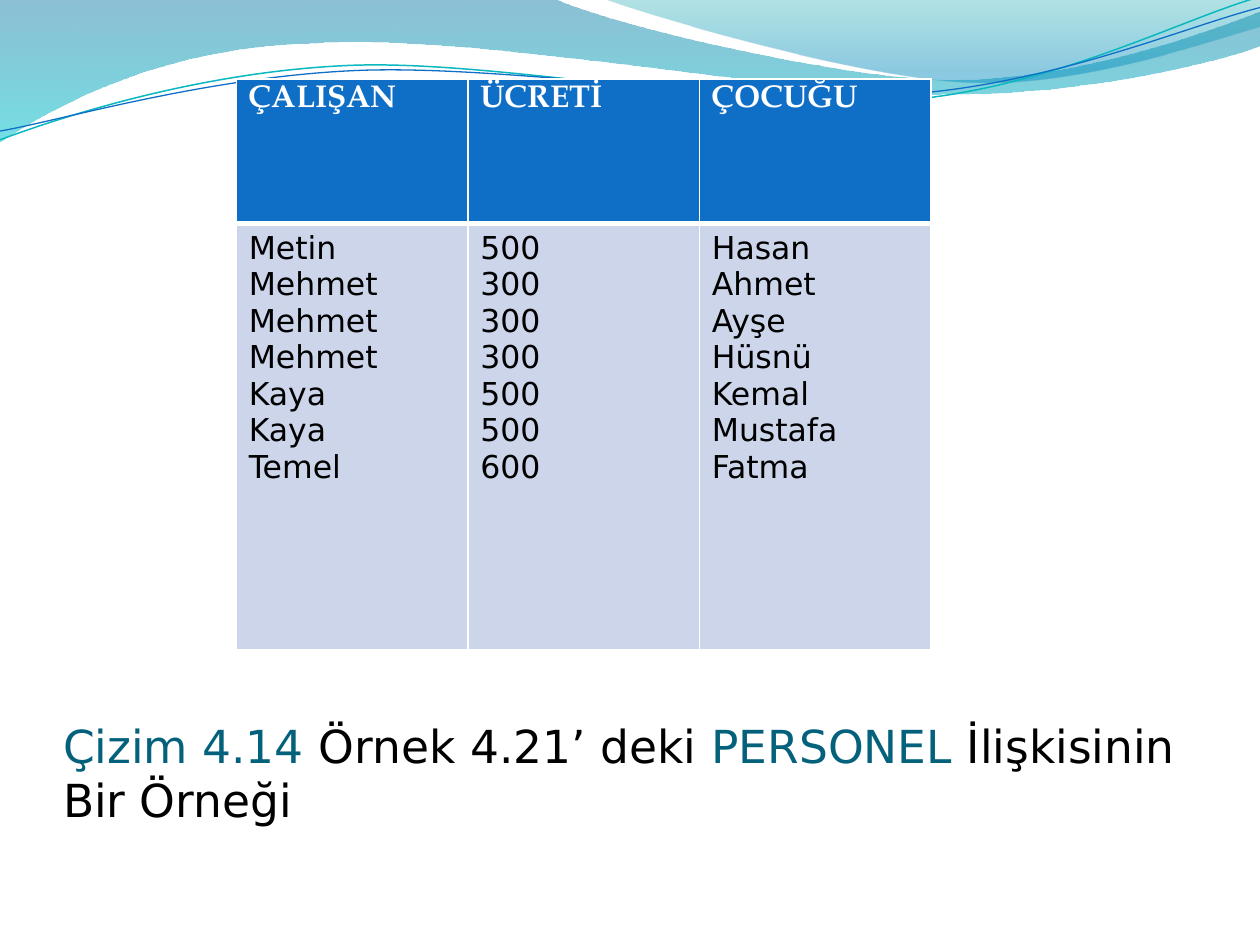
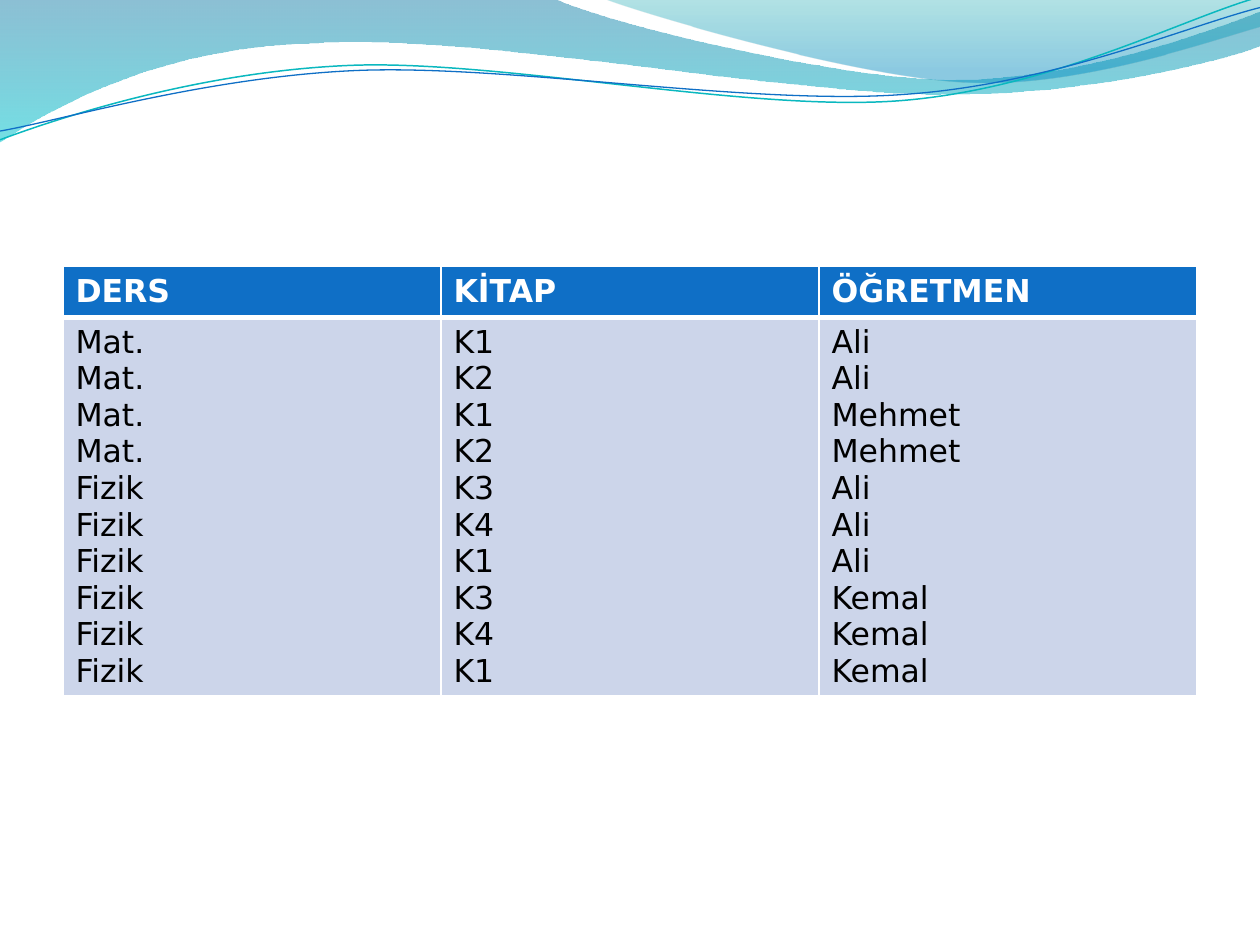
from dataclasses import dataclass
from math import cos, radians, sin

from lxml.etree import SubElement
from pptx import Presentation
from pptx.dml.color import RGBColor
from pptx.enum.text import MSO_ANCHOR, PP_ALIGN
from pptx.oxml import parse_xml
from pptx.oxml.ns import nsdecls, qn
from pptx.util import Pt

COLORS = {
    "white": "FFFFFF", "black": "000000", "teal": "04617B",
    "header": "0F6FC6", "body": "CCD5EA", "aqua": "0AB8BF",
    "wave_blue": "0074A1", "wave_cyan": "00C6CF",
    "crest_green": "00A1A9", "crest_blue": "008BBF",
}
SANS, SERIF = "DejaVu Sans", "TeX Gyre Pagella"
TILT = -2.7  # degrees, for the two thin lines

Point = tuple[float, float]


@dataclass
class Wave:
    """A run of segments in points: one point is a line, three are a curve."""
    box: tuple[float, float, float, float]  # left, top, width, height
    start: Point
    segments: list[tuple[Point, ...]]
    stops: tuple[tuple[int, str, int], ...] = ()  # position %, colour, opacity %
    line: str = ""
    width: float = 0


@dataclass
class Grid:
    left: float
    top: float
    column_width: float
    row_heights: tuple[float, float]
    header_font: str
    columns: dict[str, list[str]]


WAVES = [
    Wave((-0.7, -0.7, 721.4, 82.1), (0, 0), [
        ((316.8, -0.7),),
        ((342.7, 12.2), (478.1, 45.4), (545.8, 45.4)),
        ((614.2, 45.4), (689.8, 18.7), (720, 6.5)),
        ((720.7, 25.9),),
        ((707.8, 31.7), (626.4, 54.7), (537.1, 54)),
        ((447.8, 54), (275, 20.2), (185, 24.5)),
        ((92.9, 25.9), (33.1, 59.8), (-0.7, 81.4)),
    ], stops=((0, "wave_blue", 45), (100, "wave_cyan", 55))),
    Wave((344.9, -0.7, 375.1, 50), (344.9, -0.7), [
        ((366.5, 7.9), (491, 44.6), (553.7, 46.8)),
        ((616.3, 49.7), (691.9, 23), (720, 15.1)),
        ((720, 0),),
    ], stops=((0, "crest_green", 30), (80, "crest_blue", 45))),
    Wave((-1.4, 15.8, 721.4, 51.1), (0, 79.9), [
        ((34.6, 67), (113.8, 41), (199.4, 37.4)),
        ((284.4, 33.8), (427, 64.1), (513.4, 57.6)),
        ((599.8, 51.1), (675.4, 10.8), (718.6, -1.4)),
    ], line="aqua", width=0.85),
    Wave((-1.4, 21.6, 722.2, 41.8), (0, 74.9), [
        ((33.8, 69.1), (118.1, 43.9), (203.8, 40.3)),
        ((290.2, 36.7), (429.8, 60.5), (516.2, 54)),
        ((601.9, 48.2), (677.5, 15.1), (720, 4.3)),
    ], line="header", width=0.75),
]

STAFF = Grid(135, 45, 132.3, (82.8, 243.36), SERIF, {
    "ÇALIŞAN": ["Metin"] + ["Mehmet"] * 3 + ["Kaya"] * 2 + ["Temel"],
    "ÜCRETİ": ["500"] + ["300"] * 3 + ["500"] * 2 + ["600"],
    "ÇOCUĞU": ["Hasan", "Ahmet", "Ayşe", "Hüsnü", "Kemal", "Mustafa", "Fatma"],
})
COURSES = Grid(36, 152.4, 216, (29.2, 216), SANS, {
    "DERS": ["Mat."] * 4 + ["Fizik"] * 6,
    "KİTAP": ["K1", "K2"] * 2 + ["K3", "K4", "K1"] * 2,
    "ÖĞRETMEN": ["Ali"] * 2 + ["Mehmet"] * 2 + ["Ali"] * 3 + ["Kemal"] * 3,
})
CAPTION = [
    ("Çizim 4.14 ", "teal"), ("Örnek 4.21’ deki ", "black"),
    ("PERSONEL ", "teal"), ("İlişkisinin Bir Örneği", "black"),
]


def rgb(name: str) -> RGBColor:
    return RGBColor.from_string(COLORS[name])


def gradient(stops: tuple[tuple[int, str, int], ...]):
    marks = "".join(
        f'<a:gs pos="{position * 1000}"><a:srgbClr val="{COLORS[name]}">'
        f'<a:alpha val="{opacity * 1000}"/></a:srgbClr></a:gs>'
        for position, name, opacity in stops)
    return parse_xml(f'<a:gradFill {nsdecls("a")} rotWithShape="1"><a:gsLst>{marks}'
                     '</a:gsLst><a:lin ang="5400000" scaled="0"/></a:gradFill>')


def bend(shape, wave: Wave, angle: float) -> None:
    """Fit the outline to its box and give it true curves, turned by angle."""
    left, top, width, height = wave.box
    shape.left, shape.top = Pt(left), Pt(top)
    shape.width, shape.height = Pt(width), Pt(height)
    shape.rotation = angle % 360
    turn = radians(-angle)

    def add_step(name: str, points: tuple[Point, ...]) -> None:
        step = SubElement(outline, qn(f"a:{name}"))
        for x, y in points:
            dx, dy = x - left - width / 2, y - top - height / 2
            local_x = width / 2 + dx * cos(turn) - dy * sin(turn)
            local_y = height / 2 + dx * sin(turn) + dy * cos(turn)
            SubElement(step, qn("a:pt"), x=str(Pt(local_x)), y=str(Pt(local_y)))

    outline = shape.element.spPr.find(".//" + qn("a:path"))
    for step in list(outline):
        outline.remove(step)
    outline.set("w", str(Pt(width)))
    outline.set("h", str(Pt(height)))
    add_step("moveTo", (wave.start,))
    for segment in wave.segments:
        add_step("cubicBezTo" if len(segment) == 3 else "lnTo", segment)
    if wave.stops:
        SubElement(outline, qn("a:close"))


def draw_wave(page, wave: Wave):
    corners = [wave.start] + [segment[-1] for segment in wave.segments]
    ends = [(Pt(x), Pt(y)) for x, y in corners]
    builder = page.shapes.build_freeform(*ends[0])
    builder.add_line_segments(ends[1:], close=bool(wave.stops))
    shape = builder.convert_to_shape()
    bend(shape, wave, 0 if wave.stops else TILT)
    shape.shadow.inherit = False
    shape.fill.background()
    if wave.stops:
        shape.line.fill.background()
        blank = shape.element.spPr.find(qn("a:noFill"))
        blank.getparent().replace(blank, gradient(wave.stops))
    else:
        shape.line.color.rgb = rgb(wave.line)
        shape.line.width = Pt(wave.width)
    return shape


def add_waves_to_master(deck, page) -> None:
    """Draw the waves on a page, then move them behind everything on the master."""
    tree = deck.slide_master.shapes.element
    for index, wave in enumerate(WAVES):
        shape = draw_wave(page, wave)
        shape.element.nvSpPr.cNvPr.set("id", str(100 + index))
        tree.insert(2 + index, shape.element)


def set_borders(cell, bottom: float) -> None:
    properties = cell._tc.get_or_add_tcPr()
    for side, width in (("L", 1), ("R", 1), ("T", 1), ("B", bottom)):
        line = SubElement(properties, qn(f"a:ln{side}"), w=str(Pt(width)))
        fill = SubElement(line, qn("a:solidFill"))
        SubElement(fill, qn("a:srgbClr"), val=COLORS["white"])


def fill_cell(cell, lines: list[str], font: str, header: bool) -> None:
    set_borders(cell, 3 if header else 1)
    cell.fill.solid()
    cell.fill.fore_color.rgb = rgb("header" if header else "body")
    cell.text = "\n".join(lines)
    for para in cell.text_frame.paragraphs:
        para.font.name = font
        para.font.size = Pt(18)
        para.font.bold = header
        para.font.color.rgb = rgb("white" if header else "black")


def add_grid(page, grid: Grid) -> None:
    count = len(grid.columns)
    table = page.shapes.add_table(
        2, count, Pt(grid.left), Pt(grid.top),
        Pt(grid.column_width * count), Pt(sum(grid.row_heights))).table
    for row, height in zip(table.rows, grid.row_heights):
        row.height = Pt(height)
    for index, (heading, values) in enumerate(grid.columns.items()):
        table.columns[index].width = Pt(grid.column_width)
        fill_cell(table.cell(0, index), [heading], grid.header_font, True)
        fill_cell(table.cell(1, index), values, SANS, False)


def set_caption(title) -> None:
    title.left, title.top = Pt(36), Pt(55.7)
    title.width, title.height = Pt(648), Pt(416.88)
    frame = title.text_frame
    frame.word_wrap = True
    frame.vertical_anchor = MSO_ANCHOR.BOTTOM
    frame.margin_left = frame.margin_right = frame.margin_bottom = Pt(0)
    frame.margin_top = Pt(3.6)
    para = frame.paragraphs[0]
    para.alignment = PP_ALIGN.LEFT
    para.font.name = SANS
    para.font.size = Pt(26)
    for text, color in CAPTION:
        span = para.add_run()
        span.text = text
        span.font.color.rgb = rgb(color)


def main() -> None:
    deck = Presentation()
    deck.slide_width, deck.slide_height = Pt(720), Pt(540)
    title_only, blank = deck.slide_layouts[5], deck.slide_layouts[6]

    # Staff relation with its caption
    staff_page = deck.slides.add_slide(title_only)
    add_waves_to_master(deck, staff_page)
    set_caption(staff_page.shapes.title)
    add_grid(staff_page, STAFF)

    # Course relation
    add_grid(deck.slides.add_slide(blank), COURSES)

    deck.save("out.pptx")


if __name__ == "__main__":
    main()
